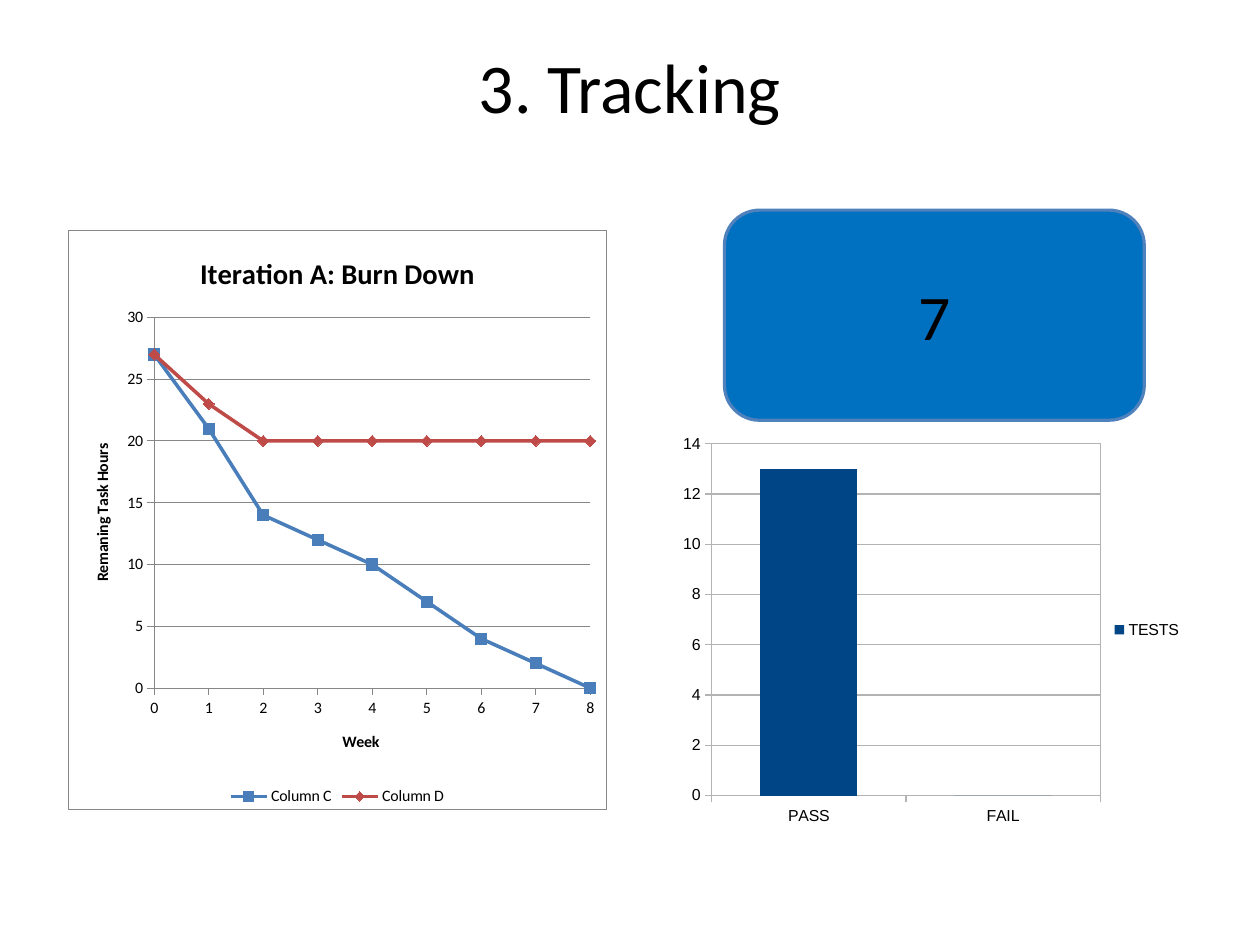
"""Build the iteration tracking slide with a burn-down chart, a velocity box and a test chart."""
import pptx
import pptx.chart.data
import pptx.dml.color
import pptx.enum.chart
import pptx.enum.shapes
import pptx.enum.text
import pptx.oxml
import pptx.oxml.ns
import pptx.util

Cm, Pt = pptx.util.Cm, pptx.util.Pt
RGB = pptx.dml.color.RGBColor.from_string
qn = pptx.oxml.ns.qn
XL = pptx.enum.chart
MSO_ANCHOR = pptx.enum.text.MSO_ANCHOR


class Theme:
    body, plain = "Calibri", "Arial"
    text, paper = "000000", "FFFFFF"
    box, box_line = "0070C0", "4F81BD"
    planned, actual, tests = "4A7EBB", "BE4B48", "004586"
    dark_grid, light_grid = "878787", "B3B3B3"
    title, velocity, heading, label = 44, 40, 18, 10


def write(tf, text, size, bold=False, font=Theme.body, color=Theme.text):
    p = tf.paragraphs[0]
    p.alignment = pptx.enum.text.PP_ALIGN.CENTER
    r = p.add_run()
    r.text = text
    r.font.name, r.font.size, r.font.bold = font, Pt(size), bold
    r.font.color.rgb = RGB(color)


def add_chart(s, kind, place, cats, series, font, grid, grid_width, top, step,
              legend, cross, plot, border, plot_border):
    data = pptx.chart.data.CategoryChartData()
    data.categories = cats
    for name, values, _ in series:
        data.add_series(name, values)
    chart = s.shapes.add_chart(kind, *map(Cm, place), data).chart
    chart.has_title = False
    chart.font.name, chart.font.size = font, Pt(Theme.label)
    chart.font.color.rgb = RGB(Theme.text)
    chart.has_legend = True
    chart.legend.position = legend
    chart.legend.include_in_layout = False

    value, category = chart.value_axis, chart.category_axis
    value.minimum_scale, value.maximum_scale, value.major_unit = 0, top, step
    value.has_major_gridlines = True
    for axis in (value, category):
        axis.major_tick_mark = XL.XL_TICK_MARK.OUTSIDE
        axis.minor_tick_mark = XL.XL_TICK_MARK.NONE
    for line in (value.format.line, category.format.line, value.major_gridlines.format.line):
        line.color.rgb = RGB(grid)
        line.width = Pt(grid_width)

    root = chart.element
    ns = 'xmlns:c="http://schemas.openxmlformats.org/drawingml/2006/chart" ' \
         'xmlns:a="http://schemas.openxmlformats.org/drawingml/2006/main"'
    val_ax = root.find(".//" + qn("c:valAx"))
    for old in val_ax.findall(qn("c:crossBetween")):
        val_ax.remove(old)
    val_ax.find(qn("c:crosses")).addnext(
        pptx.oxml.parse_xml(f'<c:crossBetween {ns} val="{cross}"/>'))
    area = root.find(".//" + qn("c:plotArea"))
    for old in area.findall(qn("c:layout")):
        area.remove(old)
    sizes = "".join(f'<c:{tag} val="{v}"/>' for tag, v in zip("xywh", plot))
    area.insert(0, pptx.oxml.parse_xml(
        f'<c:layout {ns}><c:manualLayout><c:layoutTarget val="inner"/>'
        f'<c:xMode val="edge"/><c:yMode val="edge"/>{sizes}</c:manualLayout></c:layout>'))
    frames = []
    for outlined in (border, plot_border):
        line = f'<a:solidFill><a:srgbClr val="{grid}"/></a:solidFill>' if outlined else "<a:noFill/>"
        frames.append(pptx.oxml.parse_xml(
            f'<c:spPr {ns}><a:solidFill><a:srgbClr val="{Theme.paper}"/></a:solidFill>'
            f'<a:ln w="{Pt(grid_width)}">{line}</a:ln></c:spPr>'))
    root.find(qn("c:chart")).addnext(frames[0])
    area.append(frames[1])
    return chart


prs = pptx.Presentation()
prs.slide_width, prs.slide_height = Cm(28), Cm(21)
s = prs.slides.add_slide(prs.slide_layouts[5])

title = s.shapes.title
title.left, title.top, title.width, title.height = Cm(1.4), Cm(0.84), Cm(25.2), Cm(3.5)
title.text_frame.vertical_anchor = MSO_ANCHOR.TOP
write(title.text_frame, "3. Tracking", Theme.title)

sp = s.shapes.add_shape(pptx.enum.shapes.MSO_SHAPE.ROUNDED_RECTANGLE,
                        Cm(16.1), Cm(4.67), Cm(9.33), Cm(4.67))
sp.shadow.inherit = False
sp.fill.solid()
sp.fill.fore_color.rgb = RGB(Theme.box)
sp.line.color.rgb = RGB(Theme.box_line)
sp.line.width = Pt(2)
sp.text_frame.vertical_anchor = MSO_ANCHOR.MIDDLE
write(sp.text_frame, "7", Theme.velocity)

burn_series = [
    ("Column C", (27, 21, 14, 12, 10, 7, 4, 2, 0), Theme.planned),
    ("Column D", (27, 23) + (20,) * 7, Theme.actual),
]
burn_down = add_chart(
    s, XL.XL_CHART_TYPE.LINE_MARKERS, (1.5, 5.11, 11.99, 12.9),
    [str(week) for week in range(9)], burn_series, Theme.body, Theme.dark_grid, 0.75, 30, 5,
    XL.XL_LEGEND_POSITION.BOTTOM, "midCat", (0.16, 0.15, 0.81, 0.64), True, False)
write(burn_down.chart_title.text_frame, "Iteration A: Burn Down", Theme.heading, bold=True)
burn_down.chart_title.include_in_layout = False
for axis, text in ((burn_down.category_axis, "Week"),
                   (burn_down.value_axis, "Remaning Task Hours")):
    write(axis.axis_title.text_frame, text, Theme.label, bold=True)
markers = (XL.XL_MARKER_STYLE.SQUARE, XL.XL_MARKER_STYLE.DIAMOND)
for line, (_, _, color), marker in zip(burn_down.plots[0].series, burn_series, markers):
    line.smooth = False
    line.format.line.color.rgb = RGB(color)
    line.format.line.width = Pt(2.25)
    line.marker.style, line.marker.size = marker, 7
    line.marker.format.fill.solid()
    line.marker.format.fill.fore_color.rgb = RGB(color)
    line.marker.format.line.color.rgb = RGB(color)

tests = add_chart(
    s, XL.XL_CHART_TYPE.COLUMN_CLUSTERED, (15.01, 9.5, 11.51, 8.99),
    ("PASS", "FAIL"), [("TESTS", (13, 0), Theme.tests)], Theme.plain, Theme.light_grid, 0, 14, 2,
    XL.XL_LEGEND_POSITION.RIGHT, "between", (0.07, 0.04, 0.75, 0.87), False, True)
bars = tests.plots[0]
bars.gap_width = 100
bars.vary_by_categories = False
bars.series[0].format.fill.solid()
bars.series[0].format.fill.fore_color.rgb = RGB(Theme.tests)

prs.save("out.pptx")
